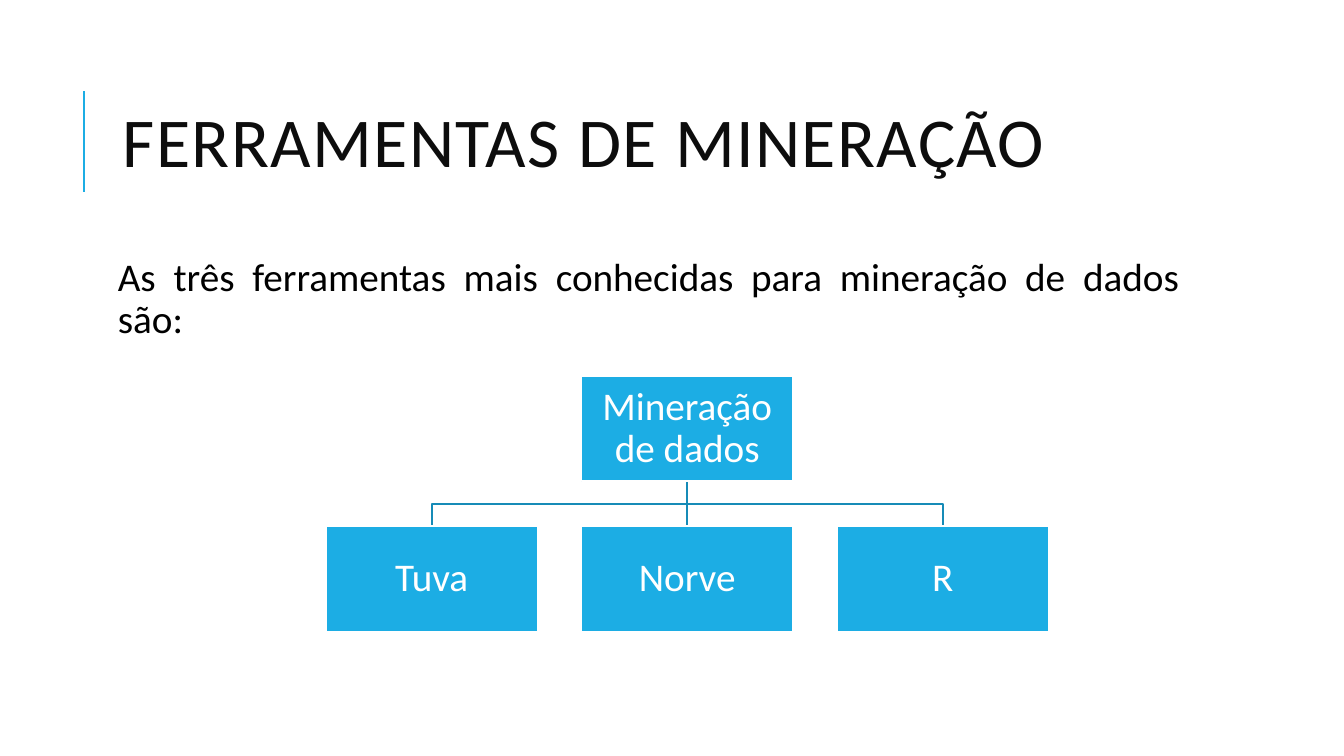
from dataclasses import dataclass

from lxml.etree import SubElement
from pptx import Presentation
from pptx.dml.color import RGBColor
from pptx.enum.shapes import MSO_CONNECTOR, MSO_SHAPE
from pptx.enum.text import MSO_ANCHOR, PP_ALIGN
from pptx.oxml.ns import qn
from pptx.util import Cm, Pt


@dataclass(frozen=True)
class Theme:
    font: str = "Calibri"
    accent: RGBColor = RGBColor(0x1C, 0xAD, 0xE4)
    branch: RGBColor = RGBColor(0x16, 0x8B, 0xB7)
    title: RGBColor = RGBColor(0x0D, 0x0D, 0x0D)
    body: RGBColor = RGBColor(0, 0, 0)
    white: RGBColor = RGBColor(0xFF, 0xFF, 0xFF)
    title_size: Pt = Pt(50)
    text_size: Pt = Pt(28)
    rule_width: Pt = Pt(1.5)
    line_width: Pt = Pt(1.25)


THEME = Theme()
BOX_WIDTH, BOX_HEIGHT = Cm(5.33), Cm(2.66)
BOX_PITCH = Cm(6.44)
TREE_CENTER = Cm(17.32)
ROOT_TOP, LEAF_TOP = Cm(9.47), Cm(13.26)
ROOT_BOTTOM = ROOT_TOP + BOX_HEIGHT


def write(shape, text, size, color, align, spacing, anchor, inset):
    frame = shape.text_frame
    frame.word_wrap = True
    frame.vertical_anchor = anchor
    frame.margin_left = frame.margin_right = inset
    frame.margin_top = frame.margin_bottom = inset
    para = frame.paragraphs[0]
    para.alignment = align
    para.line_spacing = spacing
    para.font.name = THEME.font
    para.font.size = size
    para.font.color.rgb = color
    span = para.add_run()
    span.text = text
    return para, span


def style_line(line, color, width):
    line.color.rgb = color
    line.width = width


def add_line(page, start, end, color, width):
    line = page.shapes.add_connector(MSO_CONNECTOR.STRAIGHT, *start, *end)
    style_line(line.line, color, width)
    SubElement(line._element.spPr, qn("a:effectLst"))
    return line


def add_title(page, text):
    box = page.shapes.add_textbox(Cm(2.84), Cm(1.63), Cm(27), Cm(4.17))
    para, span = write(box, text, THEME.title_size, THEME.title, PP_ALIGN.LEFT,
                       0.8, MSO_ANCHOR.MIDDLE, Cm(0.25))
    span._r.get_or_add_rPr().set("spc", "100")


def add_body(page, text):
    box = page.shapes.add_textbox(Cm(2.84), Cm(6.35), Cm(27), Cm(11.18))
    para, span = write(box, text, THEME.text_size, THEME.body, PP_ALIGN.JUSTIFY,
                       0.9, MSO_ANCHOR.TOP, Cm(0.13))
    para.space_before = Pt(12)
    para.space_after = Pt(2)


def add_elbow(page, leaf_center):
    middle = (ROOT_BOTTOM + LEAF_TOP) // 2
    builder = page.shapes.build_freeform(TREE_CENTER, ROOT_BOTTOM)
    builder.add_line_segments(
        [(TREE_CENTER, middle), (leaf_center, middle), (leaf_center, LEAF_TOP)],
        close=False)
    elbow = builder.convert_to_shape()
    elbow.fill.background()
    elbow.shadow.inherit = False
    style_line(elbow.line, THEME.branch, THEME.line_width)


def add_box(page, text, center, top):
    box = page.shapes.add_shape(MSO_SHAPE.RECTANGLE, center - BOX_WIDTH // 2, top,
                                BOX_WIDTH, BOX_HEIGHT)
    box.shadow.inherit = False
    box.fill.solid()
    box.fill.fore_color.rgb = THEME.accent
    style_line(box.line, THEME.white, THEME.line_width)
    write(box, text, THEME.text_size, THEME.white, PP_ALIGN.CENTER,
          0.9, MSO_ANCHOR.MIDDLE, Cm(0.05))
    return box


def add_tree(page, root_text, leaf_texts):
    centers = [TREE_CENTER + step * BOX_PITCH for step in (-1, 0, 1)]
    add_elbow(page, centers[0])
    add_elbow(page, centers[2])
    stem = add_line(page, (TREE_CENTER, ROOT_BOTTOM), (TREE_CENTER, LEAF_TOP),
                    THEME.branch, THEME.line_width)
    root = add_box(page, root_text, TREE_CENTER, ROOT_TOP)
    leaves = [add_box(page, text, center, LEAF_TOP)
              for text, center in zip(leaf_texts, centers)]
    stem.begin_connect(root, 2)
    stem.end_connect(leaves[1], 0)


def main():
    deck = Presentation()
    deck.slide_width, deck.slide_height = Cm(33.87), Cm(19.05)
    page = deck.slides.add_slide(deck.slide_layouts[6])
    add_line(page, (Cm(2.12), Cm(4.83)), (Cm(2.12), Cm(2.29)),
             THEME.accent, THEME.rule_width)
    add_title(page, "FERRAMENTAS DE MINERAÇÃO")
    add_body(page, "As três ferramentas mais conhecidas para mineração de dados são:")
    add_tree(page, "Mineração de dados", ["Tuva", "Norve", "R"])
    deck.save("out.pptx")


if __name__ == "__main__":
    main()
